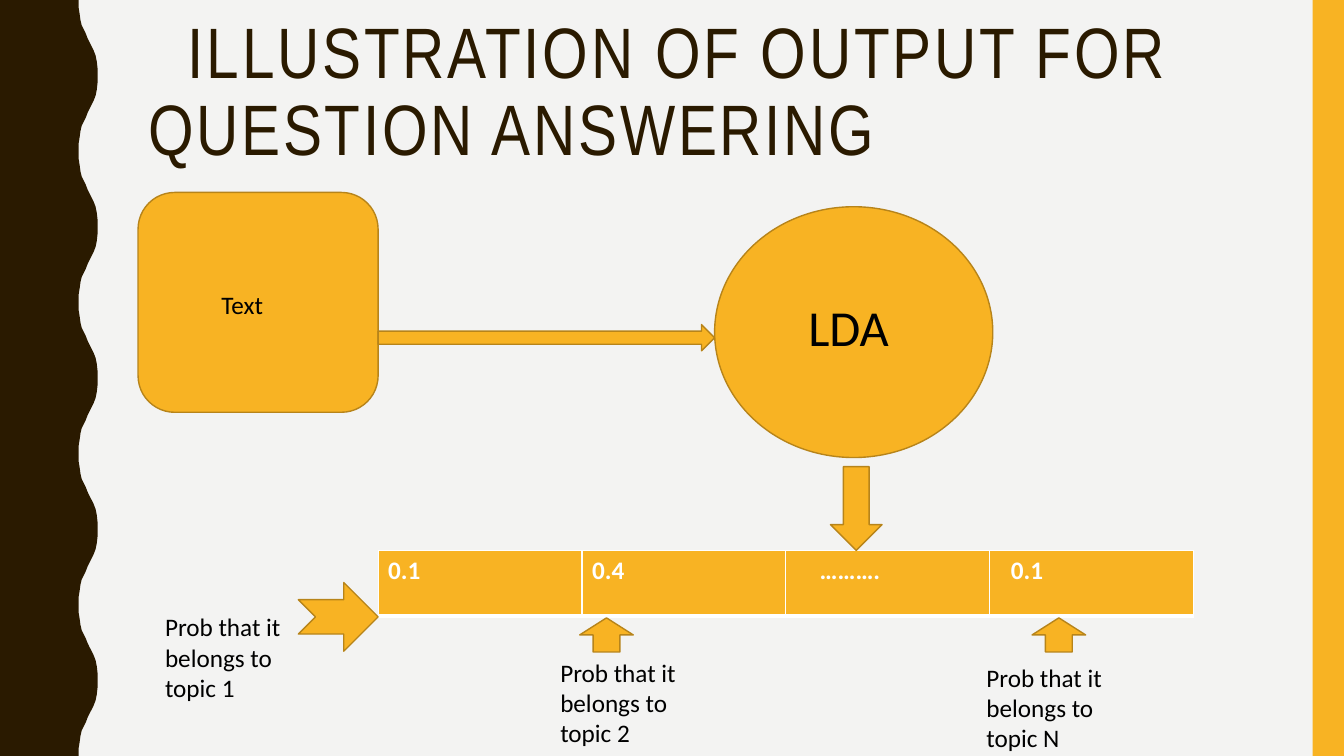
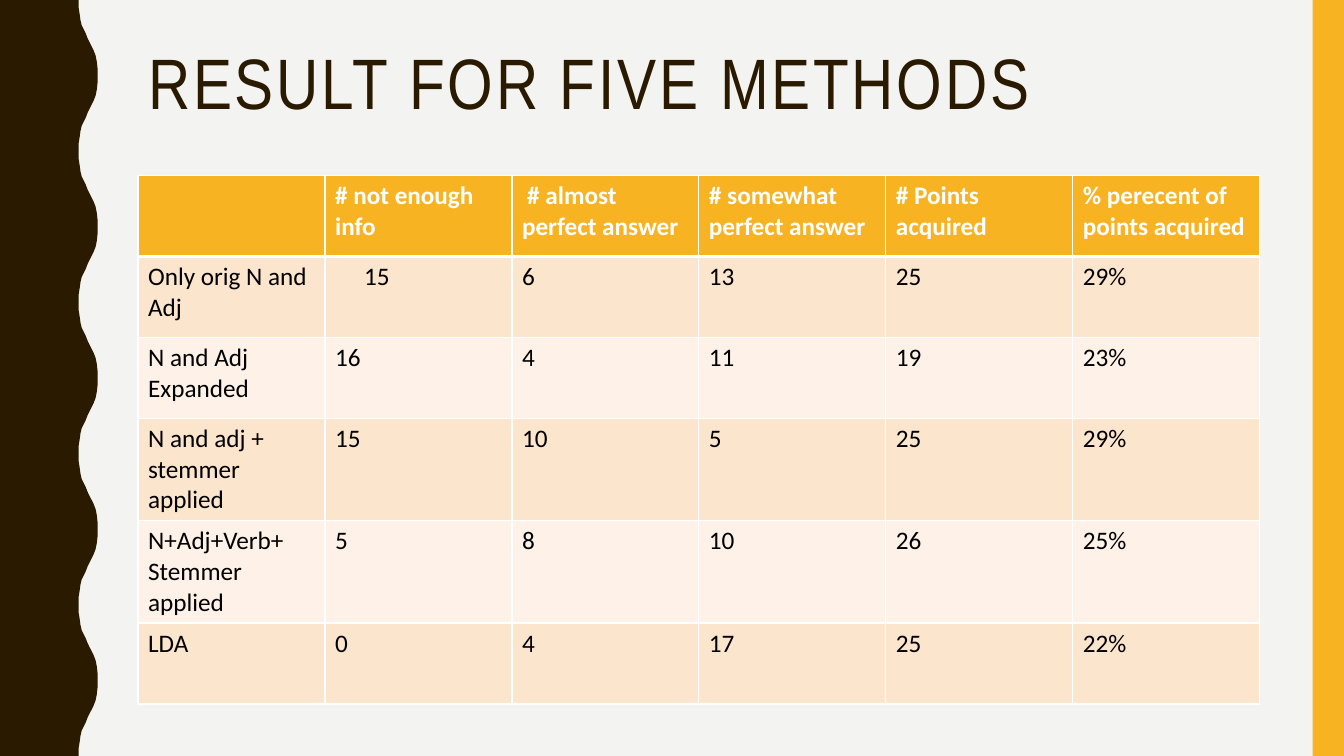
from lxml import etree
from pptx import Presentation
from pptx.dml.color import RGBColor
from pptx.enum.shapes import MSO_SHAPE
from pptx.enum.text import MSO_ANCHOR, MSO_AUTO_SIZE, PP_ALIGN
from pptx.oxml.ns import qn
from pptx.util import Cm, Pt

BROWN = RGBColor(0x2A, 0x1A, 0x00)
GOLD = RGBColor(0xF8, 0xB3, 0x23)
DARK_GOLD = RGBColor(0xB7, 0x84, 0x1A)
PALE = RGBColor(0xF3, 0xF3, 0xF2)
PEACH = RGBColor(0xFC, 0xE5, 0xCD)
CREAM = RGBColor(0xFE, 0xF2, 0xE8)
WHITE = RGBColor(0xFF, 0xFF, 0xFF)
BLACK = RGBColor(0x00, 0x00, 0x00)

RECTANGLE = MSO_SHAPE.RECTANGLE
ROUNDED = MSO_SHAPE.ROUNDED_RECTANGLE
OVAL = MSO_SHAPE.OVAL
RIGHT_ARROW = MSO_SHAPE.RIGHT_ARROW
DOWN_ARROW = MSO_SHAPE.DOWN_ARROW
UP_ARROW = MSO_SHAPE.UP_ARROW
NOTCHED_ARROW = MSO_SHAPE.NOTCHED_RIGHT_ARROW
TOP = MSO_ANCHOR.TOP
BOTTOM = MSO_ANCHOR.BOTTOM
NO_FIT = MSO_AUTO_SIZE.NONE
LEFT = PP_ALIGN.LEFT

TITLE_FONT = "Arial Narrow"
BODY_FONT = "Calibri"
PAGE_WIDTH, PAGE_HEIGHT = 33.87, 19.05
CONTENT_LEFT, CONTENT_WIDTH = 3.48, 28.27
STRIPE_WIDTH = 0.79
THIN, THICK = 1, 3

WAVE_COUNT = 5
WAVE_LENGTH = PAGE_HEIGHT / WAVE_COUNT
HALF_WAVE = [
    (1.98, 0), (1.98, 0.18), (2.01, 0.36), (2.03, 0.51), (2.06, 0.64),
    (2.11, 0.74), (2.16, 0.84), (2.21, 0.97), (2.26, 1.07), (2.31, 1.17),
    (2.36, 1.27), (2.41, 1.4), (2.44, 1.55), (2.46, 1.73), (2.46, 1.9),
]

TOPIC_ROW = [["0.1", "0.4", "\u2026\u2026\u2026.", "0.1"]]
RESULT_ROWS = [
    ["", "# not enough info", "# almost perfect answer",
     "# somewhat perfect answer", "# Points acquired",
     "% perecent of points acquired"],
    ["Only orig N and Adj", "15", "6", "13", "25", "29%"],
    ["N and Adj\nExpanded", "16", "4", "11", "19", "23%"],
    ["N and adj + stemmer applied", "15", "10", "5", "25", "29%"],
    ["N+Adj+Verb+\nStemmer applied", "5", "8", "10", "26", "25%"],
    ["LDA", "0", "4", "17", "25", "22%"],
]


def cm_box(left, top, width, height):
    return Cm(left), Cm(top), Cm(width), Cm(height)


def format_font(font, name, size, color, bold=False):
    font.name = name
    font.size = Pt(size)
    font.color.rgb = color
    font.bold = bold


def indent_first_line(para, indent):
    props = para._p.get_or_add_pPr()
    props.set("marL", "0")
    props.set("indent", str(Cm(indent)))


def paint(shape, fill, line=None):
    shape.shadow.inherit = False
    shape.fill.solid()
    shape.fill.fore_color.rgb = fill
    if line is None:
        shape.line.fill.background()
    else:
        shape.line.color.rgb = line
        shape.line.width = Pt(1)


def add_figure(page, kind, *box):
    figure = page.shapes.add_shape(kind, *cm_box(*box))
    paint(figure, GOLD, DARK_GOLD)


def add_label(page, text, *box, size=18, anchor=TOP):
    frame = page.shapes.add_textbox(*cm_box(*box)).text_frame
    frame.word_wrap = True
    frame.vertical_anchor = anchor
    frame.text = text
    for span in frame.paragraphs[0].runs:
        format_font(span.font, BODY_FONT, size, BLACK)


def add_wave_band(page):
    wave = HALF_WAVE + [(x, WAVE_LENGTH - y) for x, y in reversed(HALF_WAVE)]
    edge = [(x, y + i * WAVE_LENGTH) for i in range(WAVE_COUNT) for x, y in wave]
    outline = page.shapes.build_freeform(0, 0, scale=1.0)
    points = [(Cm(x), Cm(y)) for x, y in edge + [(0, PAGE_HEIGHT)]]
    outline.add_line_segments(points, close=True)
    band = outline.convert_to_shape()
    paint(band, BROWN)
    return band


def add_stripe(page):
    stripe = page.shapes.add_shape(
        RECTANGLE,
        *cm_box(PAGE_WIDTH - STRIPE_WIDTH, 0, STRIPE_WIDTH, PAGE_HEIGHT))
    paint(stripe, GOLD)
    return stripe


def decorate_layout(layout, page):
    layout.background.fill.solid()
    layout.background.fill.fore_color.rgb = PALE
    for i, shape in enumerate([add_wave_band(page), add_stripe(page)]):
        shape.element.xpath(".//p:cNvPr")[0].set("id", str(100 + i))
        layout.shapes.element.insert(2 + i, shape.element)


def set_title(page, text, top, indent=0):
    title = page.shapes.title
    title.left, title.top, title.width, title.height = cm_box(
        CONTENT_LEFT, top, CONTENT_WIDTH, 4.14)
    frame = title.text_frame
    frame.text = text
    frame.word_wrap = True
    frame.auto_size = NO_FIT
    frame.vertical_anchor = TOP
    para = frame.paragraphs[0]
    para.alignment = LEFT
    para.line_spacing = 0.9
    indent_first_line(para, indent)
    for span in para.runs:
        format_font(span.font, TITLE_FONT, 51, BROWN)
        span._r.get_or_add_rPr().set("spc", "200")


def set_borders(cell, top, bottom):
    props = cell._tc.get_or_add_tcPr()
    widths = {"a:lnL": THIN, "a:lnR": THIN, "a:lnT": top, "a:lnB": bottom}
    for i, (tag, width) in enumerate(widths.items()):
        line = etree.Element(qn(tag), w=str(Pt(width)))
        fill = etree.SubElement(line, qn("a:solidFill"))
        etree.SubElement(fill, qn("a:srgbClr"), val=str(WHITE))
        props.insert(i, line)


def format_cell(cell, text, row, indent):
    header = row == 0
    cell.text = text
    cell.fill.solid()
    cell.fill.fore_color.rgb = GOLD if header else PEACH if row % 2 else CREAM
    set_borders(cell, THICK if row == 1 else THIN, THICK if header else THIN)
    color = WHITE if header else BLACK
    for para in cell.text_frame.paragraphs:
        format_font(para.font, BODY_FONT, 18, color, header)
        for span in para.runs:
            format_font(span.font, BODY_FONT, 18, color, header)
    if indent:
        indent_first_line(cell.text_frame.paragraphs[0], indent)


def add_grid(page, rows, left, top, width, row_height, indents):
    frame = page.shapes.add_table(
        len(rows), len(rows[0]),
        *cm_box(left, top, width, row_height * len(rows)))
    grid = frame.table
    for column in grid.columns:
        column.width = Cm(width / len(rows[0]))
    for i, texts in enumerate(rows):
        grid.rows[i].height = Cm(row_height)
        for j, text in enumerate(texts):
            format_cell(grid.cell(i, j), text, i, indents.get((i, j), 0))


def fill_illustration(page):
    set_title(page, "ILLUSTRATION OF OUTPUT FOR QUESTION ANSWERING", 0.3, indent=1)
    add_grid(page, TOPIC_ROW, 9.53, 13.87, 20.55, 1.65,
             {(0, 2): 0.6, (0, 3): 0.28})
    add_figure(page, ROUNDED, CONTENT_LEFT, 4.85, 6.05, 5.54)
    add_label(page, "Text", 5.33, 7.16, 3.38, 1.02)
    add_figure(page, OVAL, 18.01, 5.21, 7.01, 6.32)
    add_label(page, "LDA", 20.12, 6.53, 3.43, 2.57, size=36, anchor=BOTTOM)
    add_figure(page, RIGHT_ARROW, 9.53, 8.18, 8.48, 0.66)
    add_figure(page, DOWN_ARROW, 20.93, 11.76, 1.3, 2.11)
    add_figure(page, NOTCHED_ARROW, 7.52, 14.68, 2.01, 1.73)
    for left in (14.61, 26.01):
        add_figure(page, UP_ARROW, left, 15.57, 1.35, 0.86)
    for topic, left, top in (("1", 3.91, 15.29), ("2", 13.87, 16.43),
                             ("N", 24.61, 16.56)):
        add_label(page, f"Prob that it belongs to topic {topic}",
                  left, top, 4.14, 2.57)


def fill_results(page):
    set_title(page, "RESULT FOR FIVE METHODS", 1.07)
    add_grid(page, RESULT_ROWS, CONTENT_LEFT, 4.42, CONTENT_WIDTH, 2.04,
             {(0, 2): 0.13, (1, 1): 0.73})


def main():
    deck = Presentation()
    deck.slide_width, deck.slide_height = Cm(PAGE_WIDTH), Cm(PAGE_HEIGHT)
    layout = deck.slide_layouts[5]
    illustration = deck.slides.add_slide(layout)
    decorate_layout(layout, illustration)
    fill_illustration(illustration)
    fill_results(deck.slides.add_slide(layout))
    deck.save("out.pptx")


main()
